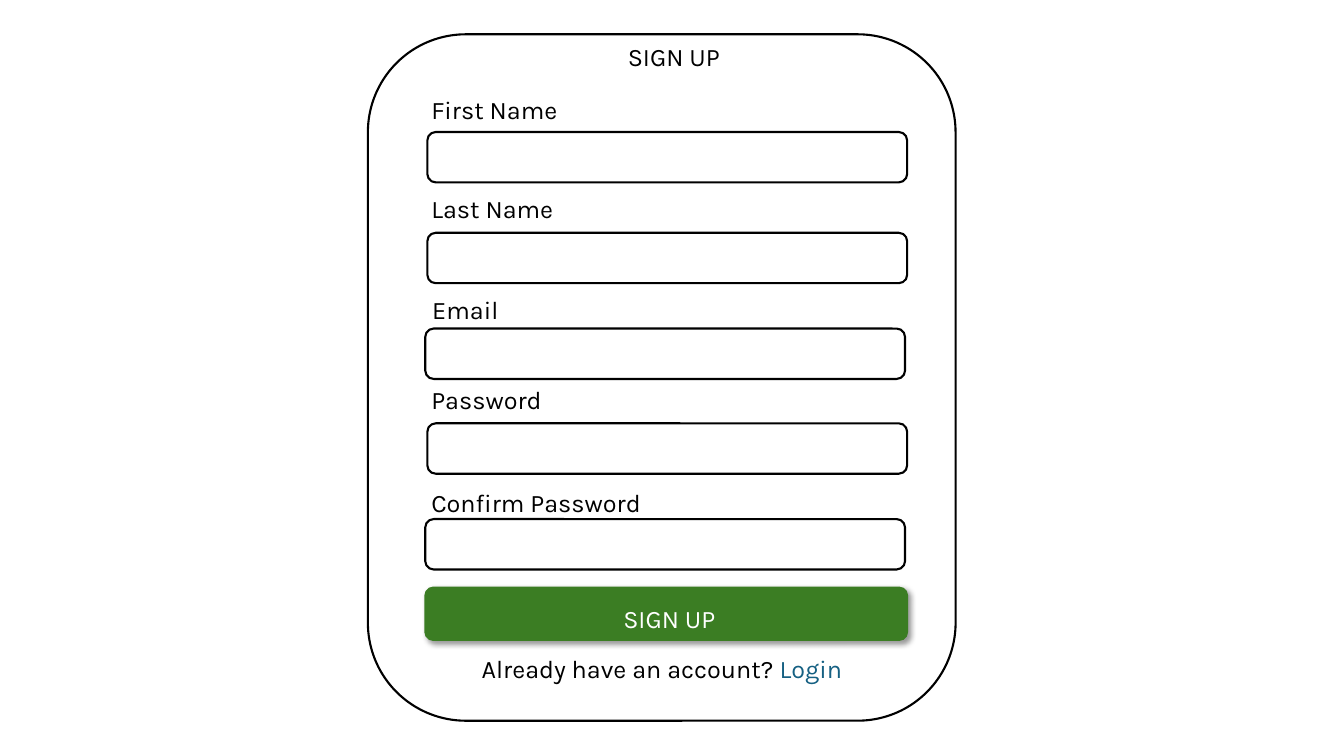
"""Build a sign-up form slide."""
from dataclasses import dataclass

import pptx
import pptx.dml.color
import pptx.enum.shapes
import pptx.enum.text
import pptx.oxml
import pptx.oxml.ns
import pptx.util

Pt = pptx.util.Pt
ALIGN = pptx.enum.text.PP_ALIGN
COLORS = {"ink": "000000", "paper": "FFFFFF", "button": "3B7D23", "link": "156082"}


@dataclass(frozen=True)
class Box:
    """A rectangle in points."""

    left: float
    top: float
    width: float
    height: float

    def lengths(self) -> tuple:
        """Return the rectangle as python-pptx lengths."""
        return Pt(self.left), Pt(self.top), Pt(self.width), Pt(self.height)


@dataclass(frozen=True)
class Field:
    """A labelled input of the form."""

    label: str
    label_box: Box
    input_left: float
    input_top: float


CARD = Box(262.8, 24.5, 419.8, 490.3)
TITLE = Box(398.9, 25.9, 164.9, 28.8)
BUTTON = Box(303.1, 419, 345.6, 38.9)
BUTTON_TEXT = Box(399.6, 427.7, 157, 25.2)
LOGIN = Box(337, 463, 288.7, 28.8)
INPUT_SIZE = (342.7, 36)
FIELDS = (
    Field("First Name", Box(301, 64.1, 155.5, 23.8), 305.3, 94.3),
    Field("Last Name", Box(301, 134.6, 155.5, 23.8), 305.3, 166.3),
    Field("Email", Box(301.7, 206.6, 155.5, 23.8), 303.8, 234.7),
    Field("Password", Box(301, 270.7, 155.5, 23.8), 305.3, 302.4),
    Field("Confirm Password", Box(301, 344.2, 204.5, 28.8), 303.8, 370.8),
)


def rgb(name: str) -> pptx.dml.color.RGBColor:
    """Return a named colour."""
    return pptx.dml.color.RGBColor.from_string(COLORS[name])


def write(tf, text: str, *, color: str = "ink", align=ALIGN.LEFT, size: float = 18) -> None:
    """Add a formatted run to the first paragraph of a text frame."""
    tf.word_wrap = True
    tf.auto_size = pptx.enum.text.MSO_AUTO_SIZE.SHAPE_TO_FIT_TEXT
    tf.vertical_anchor = pptx.enum.text.MSO_ANCHOR.TOP
    p = tf.paragraphs[0]
    p.alignment = align
    r = p.add_run()
    r.text = text
    r.font.name = "Karla"
    r.font.size = Pt(size)
    r.font.color.rgb = rgb(color)


def add_text(shapes, box: Box):
    """Add a text box and return its text frame."""
    return shapes.add_textbox(*box.lengths()).text_frame


def add_panel(shapes, box: Box, fill: str = "paper", outlined: bool = True):
    """Add a rounded panel."""
    kind = pptx.enum.shapes.MSO_SHAPE.FLOWCHART_ALTERNATE_PROCESS
    sp = shapes.add_shape(kind, *box.lengths())
    sp.shadow.inherit = False
    sp.fill.solid()
    sp.fill.fore_color.rgb = rgb(fill)
    if outlined:
        sp.line.color.rgb = rgb("ink")
        sp.line.width = Pt(1.5)
    else:
        sp.line.fill.background()
    return sp


def add_shadow(sp) -> None:
    """Give a shape a soft shadow to the lower right."""
    effects = sp.element.spPr.find(pptx.oxml.ns.qn("a:effectLst"))
    effects.append(pptx.oxml.parse_xml(
        f'<a:outerShdw {pptx.oxml.ns.nsdecls("a")} blurRad="{Pt(4)}" dist="{Pt(3)}" '
        f'dir="2700000" algn="tl" rotWithShape="0"><a:srgbClr val="{COLORS["ink"]}">'
        '<a:alpha val="40000"/></a:srgbClr></a:outerShdw>'))


def add_title(s) -> None:
    """Place the form heading in front of the card."""
    sp = s.shapes.title
    sp.left, sp.top, sp.width, sp.height = TITLE.lengths()
    write(sp.text_frame, "SIGN UP", align=ALIGN.CENTER)
    s.shapes.element.append(sp.element)


def add_button(s) -> None:
    """Add the submit button."""
    shapes = s.shapes.add_group_shape().shapes
    add_shadow(add_panel(shapes, BUTTON, fill="button", outlined=False))
    write(add_text(shapes, BUTTON_TEXT), "SIGN UP", color="paper", align=ALIGN.CENTER)


def add_fields(s) -> None:
    """Add the labelled inputs as one group."""
    shapes = s.shapes.add_group_shape().shapes
    for field in FIELDS:
        add_panel(shapes, Box(field.input_left, field.input_top, *INPUT_SIZE))
        write(add_text(shapes, field.label_box), field.label)


def main() -> None:
    """Build and save the presentation."""
    prs = pptx.Presentation()
    prs.slide_width, prs.slide_height = Pt(960), Pt(540)
    s = prs.slides.add_slide(prs.slide_layouts[5])
    add_panel(s.shapes, CARD)
    add_title(s)
    add_button(s)
    tf = add_text(s.shapes, LOGIN)
    write(tf, "Already have an account? ")
    write(tf, "Login", color="link")
    add_fields(s)
    prs.save("out.pptx")


if __name__ == "__main__":
    main()
